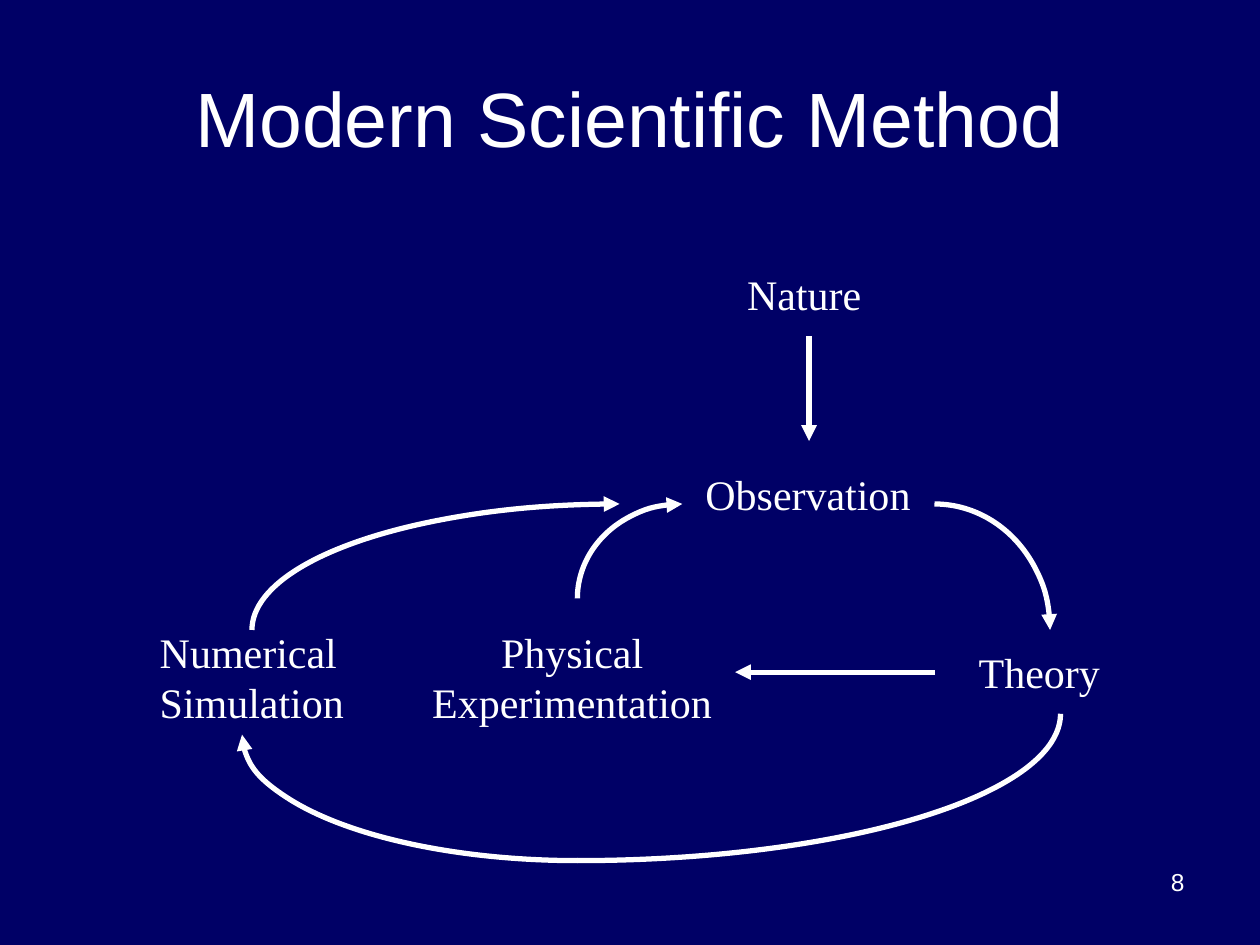
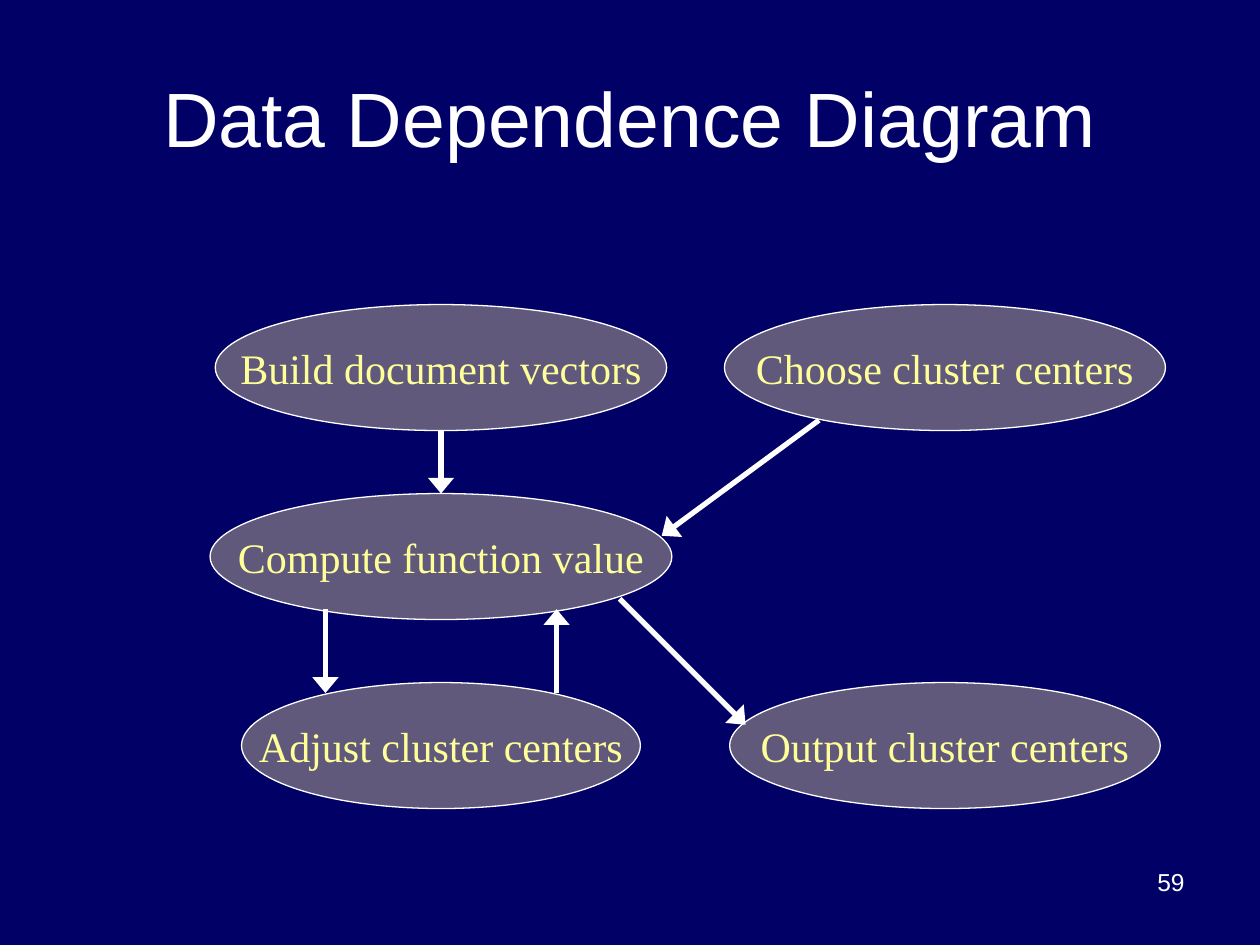
from dataclasses import dataclass

from lxml import etree
from pptx import Presentation
from pptx import util as u
from pptx.dml.color import RGBColor
from pptx.enum import shapes, text
from pptx.oxml.ns import qn


@dataclass(frozen=True)
class Theme:
    ground: RGBColor = RGBColor(0x00, 0x00, 0x66)
    ink: RGBColor = RGBColor(0xFF, 0xFF, 0xFF)
    node_fill: RGBColor = RGBColor(0x60, 0x59, 0x7B)
    node_ink: RGBColor = RGBColor(0xFF, 0xFF, 0x99)
    sans: str = "Arial"
    serif: str = "Times New Roman"
    title_size: int = 44
    body_size: int = 24
    number_size: int = 14
    arrow_width: int = 3
    outline_width: float = 0.75


THEME = Theme()
LEFT, CENTER, RIGHT = text.PP_ALIGN.LEFT, text.PP_ALIGN.CENTER, text.PP_ALIGN.RIGHT

METHOD_TITLE, METHOD_NUMBER = "Modern Scientific Method", "8"
METHOD_LABELS = [
    (["Nature"], (14.81, 5.28, 2.9, 1.27), LEFT),
    (["Observation"], (13.97, 9.32, 4.65, 1.27), LEFT),
    (["Theory"], (19.48, 12.9, 2.95, 1.27), LEFT),
    (["Physical", "Experimentation"], (8.46, 12.5, 6.15, 2.29), CENTER),
    (["Numerical", "Simulation"], (2.97, 12.5, 4.22, 2.29), LEFT),
]
METHOD_ARROWS = [
    (16.31, 6.78, 16.31, 8.89),
    (18.85, 13.55, 14.82, 13.55),
]
METHOD_ARCS = [
    dict(place=(16.51, 10.16, 4.66, 5.08), start=270, head=True),
    dict(place=(11.64, 10.16, 4.23, 3.81), start=180, head=True),
    dict(place=(1.9, 11.43, 19.48, 5.92), start=0, head=False),
    dict(place=(4.88, 12.27, 13.54, 5.08), start=90, head=True),
    dict(place=(5.08, 10.16, 14.82, 5.08), start=180, head=True),
]

DIAGRAM_TITLE, DIAGRAM_NUMBER = "Data Dependence Diagram", "59"
DIAGRAM_NODES = [
    ("Build document vectors", 0, 0, 9.1),
    ("Compute function value", 0, 1, 9.31),
    ("Choose cluster centers", 1, 0, 8.89),
    ("Adjust cluster centers", 0, 2, 8.04),
    ("Output cluster centers", 1, 2, 8.68),
]
COLUMN_CENTERS = (8.89, 19.05)
FIRST_ROW, ROW_STEP, NODE_HEIGHT = 6.14, 3.81, 2.54
BUILD_TO_COMPUTE = (8.89, 8.68, 8.89, 9.95)
DIAGRAM_ARROWS = [
    (6.56, 12.28, 6.56, 13.97),
    (11.22, 13.97, 11.22, 12.28),
    (12.49, 12.07, 15.03, 14.61),
    (16.51, 8.47, 13.34, 10.8),
]


def lengths(values):
    return [u.Cm(value) for value in values]


def write(shape, lines, font, size, color, align, anchor=text.MSO_ANCHOR.TOP, wrap=True):
    frame = shape.text_frame
    frame.word_wrap = wrap
    frame.vertical_anchor = anchor
    frame.text = "\n".join(lines)
    for para in frame.paragraphs:
        para.alignment = align
        para.font.name = font
        para.font.size = u.Pt(size)
        para.font.color.rgb = color


def add_text(page, place, *style, **options):
    box = page.shapes.add_textbox(*lengths(place))
    write(box, *style, **options)
    return box


def draw_line(shape, head=True, head_width="med"):
    shape.line.color.rgb = THEME.ink
    shape.line.width = u.Pt(THEME.arrow_width)
    if head:
        etree.SubElement(shape.line._get_or_add_ln(), qn("a:tailEnd"),
                         type="triangle", w=head_width, len="med")


def add_arrow(page, ends, head_width="med"):
    arrow = page.shapes.add_connector(shapes.MSO_CONNECTOR.STRAIGHT, *lengths(ends))
    draw_line(arrow, head_width=head_width)
    etree.SubElement(arrow._element.spPr, qn("a:effectLst"))
    return arrow


def add_quarter_arc(page, place, start, head):
    arc = page.shapes.add_shape(shapes.MSO_SHAPE.ARC, *lengths(place))
    for index, angle in enumerate((start, (start + 90) % 360)):
        arc.adjustments[index] = angle * 0.6
    arc.fill.background()
    draw_line(arc, head)
    arc.shadow.inherit = False


def add_node(page, label, column, row, width):
    place = (COLUMN_CENTERS[column] - width / 2, FIRST_ROW + row * ROW_STEP,
             width, NODE_HEIGHT)
    node = page.shapes.add_shape(shapes.MSO_SHAPE.OVAL, *lengths(place))
    node.shadow.inherit = False
    node.fill.solid()
    node.fill.fore_color.rgb = THEME.node_fill
    node.line.color.rgb = THEME.ink
    node.line.width = u.Pt(THEME.outline_width)
    write(node, [label], THEME.serif, THEME.body_size, THEME.node_ink, CENTER,
          anchor=text.MSO_ANCHOR.MIDDLE, wrap=False)
    return node


def add_page(deck, title, number):
    page = deck.slides.add_slide(deck.slide_layouts[6])
    add_text(page, (1.27, 0.76, 22.86, 3.18), [title], THEME.sans, THEME.title_size,
             THEME.ink, CENTER, anchor=text.MSO_ANCHOR.MIDDLE)
    add_text(page, (18.21, 17.35, 5.92, 1.32), [number], THEME.sans,
             THEME.number_size, THEME.ink, RIGHT)
    return page


def build_method(deck):
    page = add_page(deck, METHOD_TITLE, METHOD_NUMBER)
    for lines, place, align in METHOD_LABELS:
        add_text(page, place, lines, THEME.serif, THEME.body_size, THEME.ink, align)
    for ends in METHOD_ARROWS:
        add_arrow(page, ends)
    for arc in METHOD_ARCS:
        add_quarter_arc(page, **arc)


def build_diagram(deck):
    page = add_page(deck, DIAGRAM_TITLE, DIAGRAM_NUMBER)
    nodes = {node[0]: add_node(page, *node) for node in DIAGRAM_NODES}
    joined = add_arrow(page, BUILD_TO_COMPUTE, "lg")
    joined.end_connect(nodes["Compute function value"], 0)
    for ends in DIAGRAM_ARROWS:
        add_arrow(page, ends, "lg")


def main():
    deck = Presentation()
    deck.slide_width, deck.slide_height = lengths((25.4, 19.05))
    ground = deck.slide_master.background.fill
    ground.solid()
    ground.fore_color.rgb = THEME.ground
    build_method(deck)
    build_diagram(deck)
    deck.save("out.pptx")


if __name__ == "__main__":
    main()
